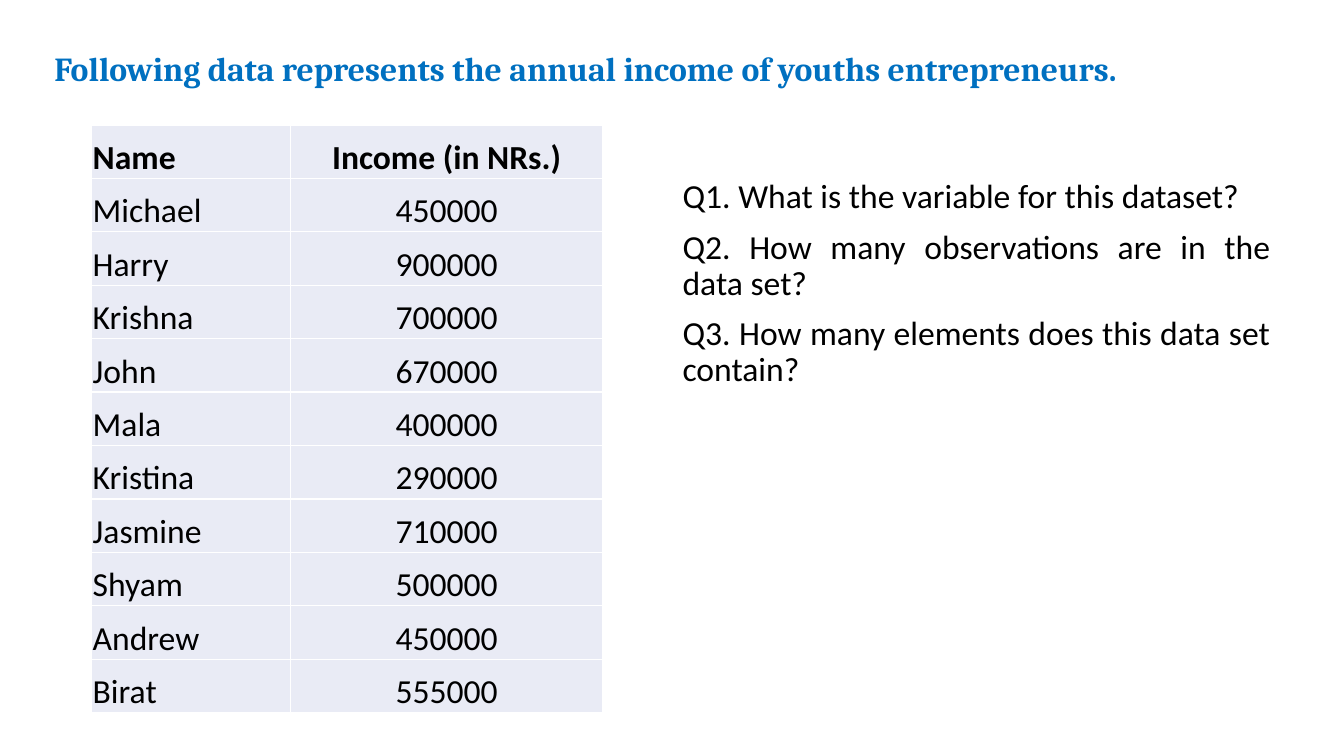
import pptx
import pptx.util
import pptx.dml.color
import pptx.enum.text
import pptx.oxml.ns
import lxml.etree

TITLE = "Following data represents the annual income of youths entrepreneurs."
HEADER = ("Name", "Income (in NRs.)")
INCOMES = [
    ("Michael", 450000), ("Harry", 900000), ("Krishna", 700000),
    ("John", 670000), ("Mala", 400000), ("Kristina", 290000),
    ("Jasmine", 710000), ("Shyam", 500000), ("Andrew", 450000),
    ("Birat", 555000),
]
QUESTIONS = [
    "Q1. What is the variable for this dataset?",
    "Q2. How many observations are in the data set?",
    "Q3. How many elements does this data set contain?",
]

COLORS = {"title": "0070C0", "text": "000000", "cell": "E9EBF5"}
WIDTH, HEIGHT = 13.33, 7.5
CONTENT_TOP = 1.24
COLUMNS = (1.97, 3.1)
ROW_HEIGHT = 0.53
TITLE_BOX = (0.44, 0.16, 11.64, 1.08)
TABLE_BOX = (0.91, CONTENT_TOP, sum(COLUMNS), ROW_HEIGHT * (len(INCOMES) + 1))
QUESTION_BOX = (6.67, CONTENT_TOP, 6.03, 2.67)

Inches, Pt = pptx.util.Inches, pptx.util.Pt
ALIGN, ANCHOR = pptx.enum.text.PP_ALIGN, pptx.enum.text.MSO_ANCHOR
CELL_FORMAT = {
    "margin_left": Inches(0.01), "margin_right": Inches(0.01),
    "margin_top": Inches(0.01), "margin_bottom": 0,
    "vertical_anchor": ANCHOR.BOTTOM,
}


def apply(obj, values):
    """Set every attribute of obj named in the dict values."""
    for name, value in values.items():
        setattr(obj, name, value)


def rgb(key):
    """Return the named colour."""
    return pptx.dml.color.RGBColor.from_string(COLORS[key])


def write(p, text, color="text", font="Calibri", bold=False, **layout):
    """Put one formatted run in paragraph p."""
    r = p.add_run()
    r.text = text
    apply(r.font, {"name": font, "size": Pt(24), "bold": bold})
    r.font.color.rgb = rgb(color)
    apply(p, layout)


def place(sp, box, anchor):
    """Move a text placeholder to box and return its text frame."""
    apply(sp, dict(zip(("left", "top", "width", "height"), map(Inches, box))))
    tf = sp.text_frame
    apply(tf, {"word_wrap": True, "vertical_anchor": anchor,
               "auto_size": pptx.enum.text.MSO_AUTO_SIZE.NONE})
    return tf


def remove_bullet(p):
    """Drop the bullet and hanging indent of paragraph p."""
    ppr = p._p.get_or_add_pPr()
    ppr.set("marL", "0")
    ppr.set("indent", "0")
    lxml.etree.SubElement(ppr, pptx.oxml.ns.qn("a:buNone"))


def add_income_table(slide):
    """Add the table of names and incomes."""
    rows = [HEADER] + INCOMES
    table = slide.shapes.add_table(
        len(rows), len(COLUMNS), *map(Inches, TABLE_BOX)).table
    apply(table, {"first_row": False, "horz_banding": False})
    for column, width in zip(table.columns, COLUMNS):
        column.width = Inches(width)
    for i, row in enumerate(rows):
        table.rows[i].height = Inches(ROW_HEIGHT)
        for j, value in enumerate(row):
            cell = table.cell(i, j)
            apply(cell, CELL_FORMAT)
            cell.fill.solid()
            cell.fill.fore_color.rgb = rgb("cell")
            write(cell.text_frame.paragraphs[0], str(value), bold=i == 0,
                  alignment=(ALIGN.LEFT, ALIGN.CENTER)[j])


prs = pptx.Presentation()
apply(prs, {"slide_width": Inches(WIDTH), "slide_height": Inches(HEIGHT)})
slide = prs.slides.add_slide(prs.slide_layouts[1])

tf = place(slide.shapes.title, TITLE_BOX, ANCHOR.MIDDLE)
write(tf.paragraphs[0], TITLE, "title", "Cambria", True,
      alignment=ALIGN.LEFT, line_spacing=0.9)

add_income_table(slide)

tf = place(slide.placeholders[1], QUESTION_BOX, ANCHOR.BOTTOM)
for i, question in enumerate(QUESTIONS):
    p = tf.add_paragraph() if i else tf.paragraphs[0]
    write(p, question, alignment=ALIGN.JUSTIFY, line_spacing=0.9,
          space_before=Pt(10))
    remove_bullet(p)

prs.save("out.pptx")
